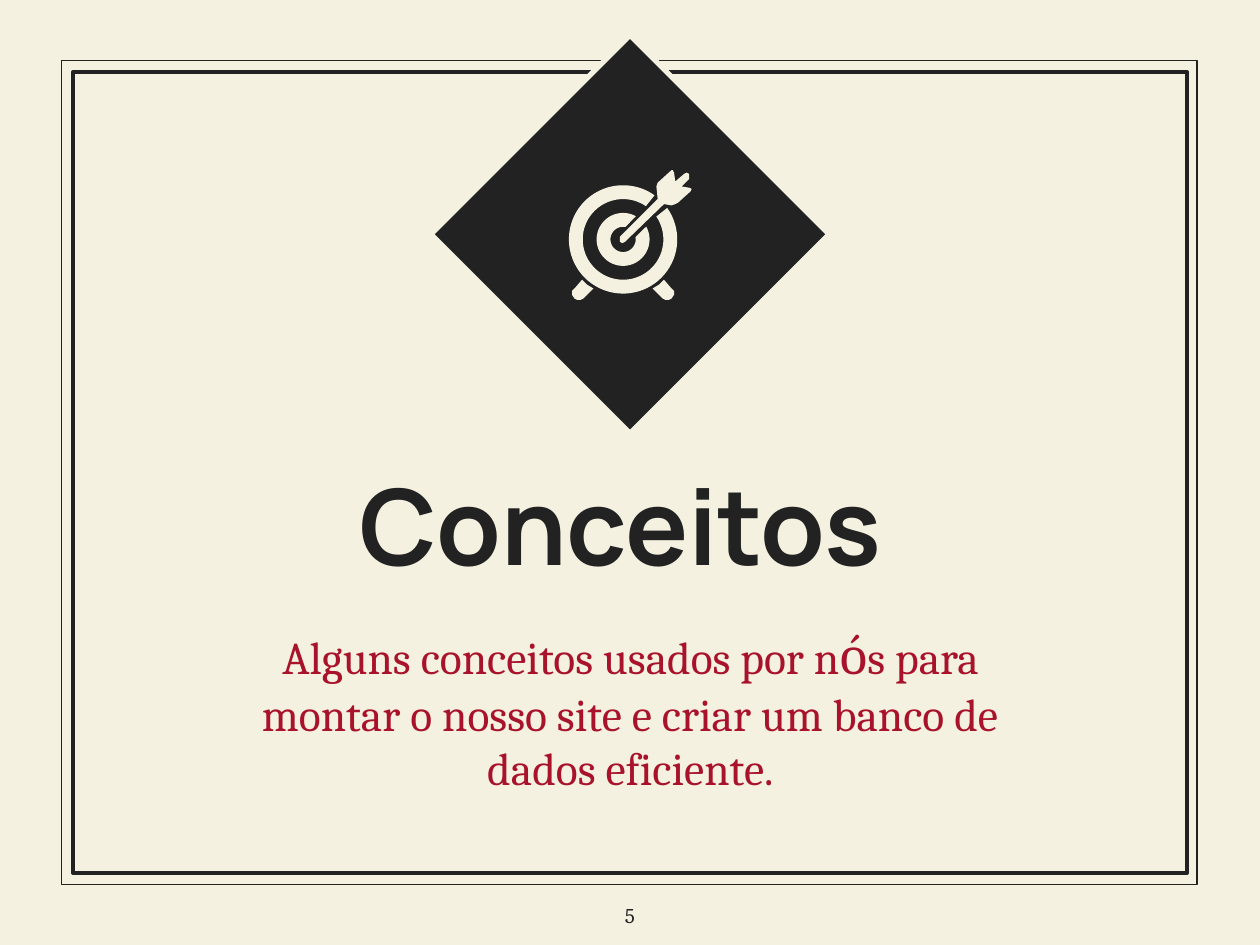
"""Build the "Conceitos" section slide with its target emblem."""
import math
from dataclasses import dataclass

import pptx
import pptx.dml.color
import pptx.enum.shapes
import pptx.enum.text
import pptx.util

Inches = pptx.util.Inches
Pt = pptx.util.Pt
SHAPES = pptx.enum.shapes.MSO_SHAPE
ANCHOR = pptx.enum.text.MSO_ANCHOR


@dataclass(frozen=True)
class Theme:
    """Colours, fonts and type sizes of the slide."""
    paper: str = "F5F1E0"
    ink: str = "222222"
    accent: str = "A8122A"
    heading_font: str = "Manrope"
    body_font: str = "Cambria"
    heading_size: int = 60
    body_size: int = 26
    large_body_size: int = 32
    number_size: int = 12


THEME = Theme()
BULLSEYE = (4.945, 1.9)
ARROW = [
    (5.33, 1.35), (5.22, 1.45), (5.21, 1.48), (5.22, 1.58), (4.92, 1.88),
    (4.92, 1.92), (4.94, 1.93), (4.96, 1.92), (5.27, 1.62), (5.33, 1.63),
    (5.36, 1.62), (5.38, 1.61), (5.48, 1.52), (5.49, 1.5), (5.47, 1.49),
    (5.41, 1.48), (5.47, 1.42), (5.47, 1.38), (5.45, 1.37), (5.43, 1.38),
    (5.36, 1.44), (5.35, 1.37), (5.34, 1.35),
]
LEFT_FOOT = [
    (4.62, 2.22), (4.56, 2.29), (4.54, 2.31), (4.54, 2.34), (4.56, 2.37),
    (4.58, 2.38), (4.61, 2.38), (4.63, 2.37), (4.71, 2.29), (4.66, 2.26),
]


def rgb(colour):
    """Return a colour object for a hex string."""
    return pptx.dml.color.RGBColor.from_string(colour)


def style(shape, fill=None, line=None, width=0):
    """Set fill and outline of a shape and drop its shadow."""
    shape.shadow.inherit = False
    if fill:
        shape.fill.solid()
        shape.fill.fore_color.rgb = rgb(fill)
    else:
        shape.fill.background()
    if line:
        shape.line.color.rgb = rgb(line)
        shape.line.width = Pt(width)
    else:
        shape.line.fill.background()


def add_preset(slide, kind, box, **look):
    """Add a preset shape in a box given in inches."""
    style(slide.shapes.add_shape(kind, *map(Inches, box)), **look)


def add_outline(slide, points):
    """Add a closed paper-coloured outline through points in inches."""
    start, *others = [(Inches(x), Inches(y)) for x, y in points]
    builder = slide.shapes.build_freeform(*start)
    builder.add_line_segments(others, close=True)
    style(builder.convert_to_shape(), fill=THEME.paper)


def arc(radius, start, end, steps=72):
    """Return points around the bullseye between two angles in degrees."""
    angles = [math.radians(start + (end - start) * i / steps) for i in range(steps + 1)]
    return [(BULLSEYE[0] + radius * math.cos(a), BULLSEYE[1] + radius * math.sin(a))
            for a in angles]


def add_open_ring(slide, outer, inner, outer_gap, inner_gap):
    """Add a ring with a gap around the arrow, which points up at 45 degrees."""
    outer_arc = arc(outer, -45 + outer_gap / 2, 315 - outer_gap / 2)
    inner_arc = arc(inner, 315 - inner_gap / 2, -45 + inner_gap / 2)
    add_outline(slide, outer_arc + inner_arc)


def add_target(slide):
    """Add the rings, feet and arrow of the target emblem."""
    add_open_ring(slide, 0.43, 0.32, 19, 21)
    add_open_ring(slide, 0.21, 0.1, 32, 69)
    add_outline(slide, LEFT_FOOT)
    add_outline(slide, [(2 * BULLSEYE[0] - x, y) for x, y in LEFT_FOOT])
    add_outline(slide, ARROW)


def place(shape, box):
    """Move a shape to a box given in inches."""
    shape.left, shape.top, shape.width, shape.height = map(Inches, box)


def write(shape, runs, font, colour, bold=False, anchor=ANCHOR.TOP, space_before=0):
    """Write one centred paragraph from pairs of text and size."""
    frame = shape.text_frame
    frame.word_wrap = True
    frame.auto_size = pptx.enum.text.MSO_AUTO_SIZE.NONE
    frame.vertical_anchor = anchor
    frame.margin_left = frame.margin_right = Inches(0.1)
    frame.margin_top = frame.margin_bottom = Inches(0.1)
    paragraph = frame.paragraphs[0]
    paragraph.alignment = pptx.enum.text.PP_ALIGN.CENTER
    paragraph.space_before = Pt(space_before)
    for text, size in runs:
        run = paragraph.add_run()
        run.text = text
        run.font.name = font
        run.font.size = Pt(size)
        run.font.bold = bold
        run.font.color.rgb = rgb(colour)


def add_text(slide, box, runs, **look):
    """Add a text box with one centred paragraph."""
    write(slide.shapes.add_textbox(*map(Inches, box)), runs, **look)


def main():
    """Build and save the slide."""
    deck = pptx.Presentation()
    deck.slide_width, deck.slide_height = Inches(10), Inches(7.5)
    slide = deck.slides.add_slide(deck.slide_layouts[5])
    slide.background.fill.solid()
    slide.background.fill.fore_color.rgb = rgb(THEME.paper)

    add_preset(slide, SHAPES.RECTANGLE, (0.49, 0.48, 9.01, 6.54), line=THEME.ink, width=0.75)
    add_preset(slide, SHAPES.RECTANGLE, (0.58, 0.57, 8.84, 6.36), line=THEME.ink, width=2.25)

    heading = slide.shapes.title
    place(heading, (1.58, 3.31, 6.85, 1.69))
    write(heading, [("Conceitos ", THEME.heading_size)], THEME.heading_font, THEME.ink,
          bold=True, anchor=ANCHOR.MIDDLE)
    summary = [
        ("Alguns conceitos usados por n", THEME.body_size),
        ("ó", THEME.large_body_size),
        ("s para montar o nosso site e criar um banco de dados eficiente.", THEME.body_size),
    ]
    add_text(slide, (1.58, 4.81, 6.85, 1.14), summary, font=THEME.body_font,
             colour=THEME.accent, space_before=6)

    add_preset(slide, SHAPES.DIAMOND, (3.42, 0.28, 3.16, 3.16), fill=THEME.ink,
               line=THEME.paper, width=3)
    add_target(slide)
    add_text(slide, (4.7, 7.06, 0.6, 0.44), [("5", THEME.number_size)],
             font=THEME.body_font, colour=THEME.ink)
    deck.save("out.pptx")


if __name__ == "__main__":
    main()
